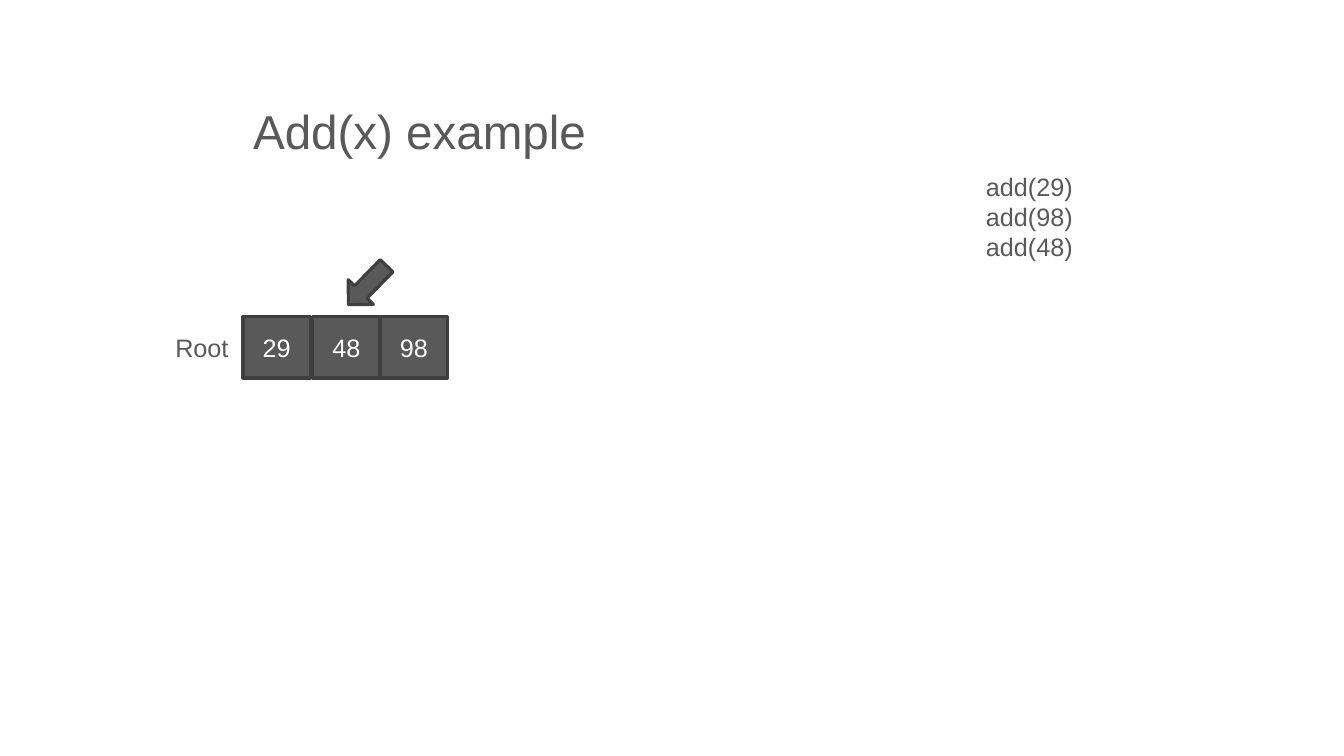
from pptx import Presentation
from pptx.dml.color import RGBColor
from pptx.enum.shapes import MSO_SHAPE
from pptx.enum.text import MSO_ANCHOR, PP_ALIGN
from pptx.util import Inches, Pt

RECTANGLE, DOWN_ARROW = MSO_SHAPE.RECTANGLE, MSO_SHAPE.DOWN_ARROW
BOTTOM, MIDDLE = MSO_ANCHOR.BOTTOM, MSO_ANCHOR.MIDDLE
LEFT, CENTER = PP_ALIGN.LEFT, PP_ALIGN.CENTER

GRAY = RGBColor(0x59, 0x59, 0x59)
DARK_GRAY = RGBColor(0x3F, 0x3F, 0x3F)
WHITE = RGBColor(0xFF, 0xFF, 0xFF)

HEADING = "Add(x) example"
ROOT_LABEL = "Root"
ROOT_KEYS = [("29", 2.41), ("48", 3.1), ("98", 3.77)]
OPERATIONS = ["add(29)", "add(98)", "add(48)"]

ROOT_TOP, KEY_WIDTH, KEY_HEIGHT = 3.14, 0.67, 0.61


def write(frame, lines, size=18, color=GRAY, align=LEFT):
    frame.text = "\n".join(lines)
    frame.word_wrap = True
    for paragraph in frame.paragraphs:
        paragraph.alignment = align
        paragraph.font.name = "Arial"
        paragraph.font.size = Pt(size)
        paragraph.font.color.rgb = color


def add_block(slide, preset, *box):
    block = slide.shapes.add_shape(preset, *map(Inches, box))
    block.shadow.inherit = False
    block.fill.solid()
    block.fill.fore_color.rgb = GRAY
    block.line.color.rgb = DARK_GRAY
    block.line.width = Pt(2.25)
    return block


def add_label(slide, lines, *box):
    label = slide.shapes.add_textbox(*map(Inches, box))
    write(label.text_frame, lines)


def main():
    deck = Presentation()
    deck.slide_width, deck.slide_height = Inches(13.33), Inches(7.5)
    slide = deck.slides.add_slide(deck.slide_layouts[5])

    heading = slide.shapes.title
    heading.left, heading.top = Inches(2.41), Inches(0.33)
    heading.width, heading.height = Inches(10.25), Inches(1.31)
    write(heading.text_frame, [HEADING], size=34)
    heading.text_frame.vertical_anchor = BOTTOM
    heading.text_frame.paragraphs[0].line_spacing = 0.9

    for key, left in ROOT_KEYS:
        cell = add_block(slide, RECTANGLE, left, ROOT_TOP, KEY_WIDTH, KEY_HEIGHT)
        write(cell.text_frame, [key], color=WHITE, align=CENTER)
        cell.text_frame.vertical_anchor = MIDDLE

    add_label(slide, [ROOT_LABEL], 1.64, 3.25, 0.74, 0.4)
    add_label(slide, OPERATIONS, 9.68, 1.65, 2.98, 1.01)

    pointer = add_block(slide, DOWN_ARROW, 3.47, 2.56, 0.35, 0.54)
    pointer.rotation = 44.5

    deck.save("out.pptx")


if __name__ == "__main__":
    main()
